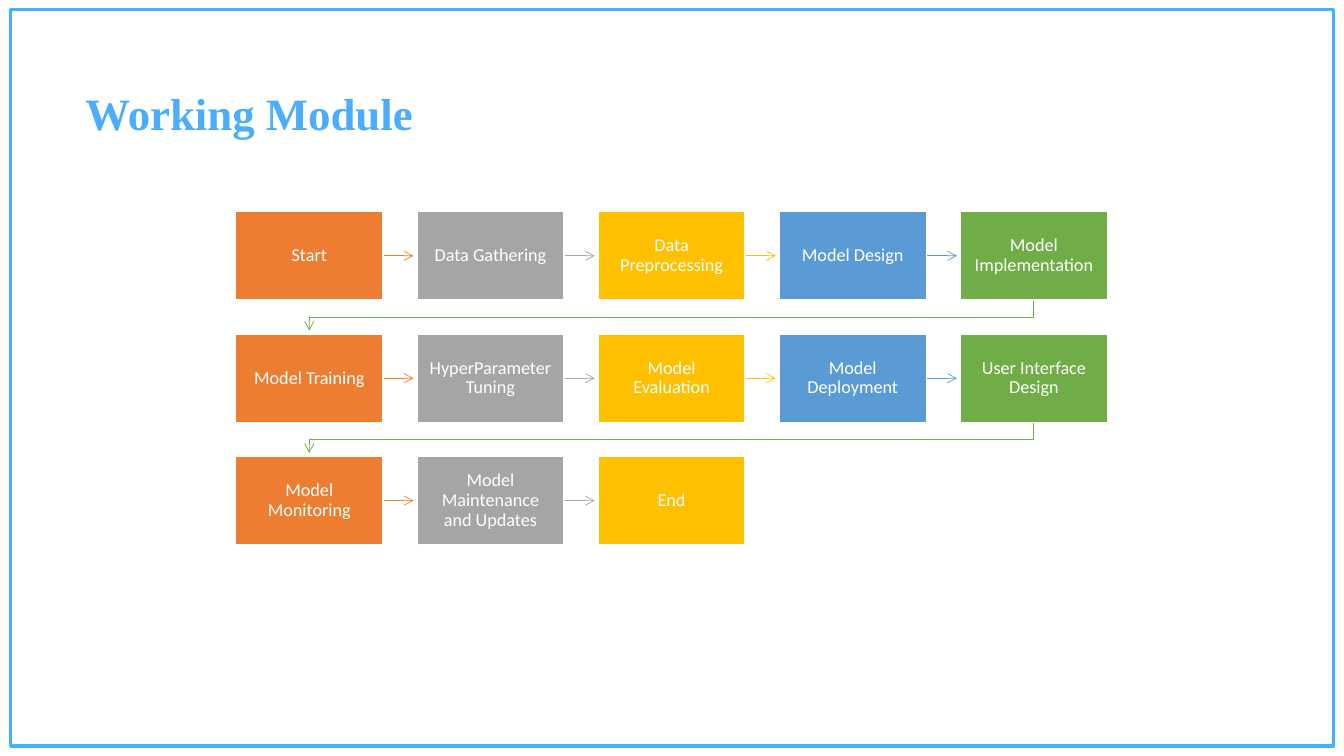
from lxml import etree
from pptx import Presentation
from pptx.dml.color import RGBColor
from pptx.enum.shapes import MSO_CONNECTOR, MSO_SHAPE
from pptx.enum.text import MSO_ANCHOR, MSO_AUTO_SIZE, PP_ALIGN
from pptx.oxml.ns import qn
from pptx.util import Cm, Pt

RECT, STRAIGHT = MSO_SHAPE.RECTANGLE, MSO_CONNECTOR.STRAIGHT
LEFT, CENTER = PP_ALIGN.LEFT, PP_ALIGN.CENTER
MIDDLE, BOTTOM = MSO_ANCHOR.MIDDLE, MSO_ANCHOR.BOTTOM

COLORS = ["ED7D31", "A5A5A5", "FFC000", "5B9BD5", "70AD47"]
STEPS = [
    "Start", "Data Gathering", "Data Preprocessing", "Model Design",
    "Model Implementation", "Model Training", "HyperParameter Tuning",
    "Model Evaluation", "Model Deployment", "User Interface Design",
    "Model Monitoring", "Model Maintenance and Updates", "End",
]


def write(sp, text, size, color, font="Calibri", bold=False, align=CENTER, anchor=MIDDLE):
    tf = sp.text_frame
    tf.word_wrap = True
    tf.auto_size = MSO_AUTO_SIZE.NONE
    tf.vertical_anchor = anchor
    p = tf.paragraphs[0]
    p.alignment = align
    p.line_spacing = 0.9
    p.space_before = Pt(0)
    r = p.add_run()
    r.text = text
    r.font.size, r.font.bold, r.font.name = Pt(size), bold, font
    r.font.color.rgb = RGBColor.from_string(color)


def outline(sp, color, width, arrow=False):
    sp.line.color.rgb = RGBColor.from_string(color)
    sp.line.width = Pt(width)
    if arrow:
        etree.SubElement(sp.line._get_or_add_ln(), qn("a:tailEnd"), type="arrow")


prs = Presentation()
prs.slide_width, prs.slide_height = Cm(33.87), Cm(19.05)
s = prs.slides.add_slide(prs.slide_layouts[5])

# Frame
frame = s.shapes.add_shape(RECT, Cm(0.27), Cm(0.24), Cm(33.33), Cm(18.56))
frame.shadow.inherit = False
frame.fill.background()
outline(frame, "46B0F9", 2.25)

# Title
title = s.shapes.title
title.left, title.top, title.width, title.height = Cm(1.9), Cm(1.88), Cm(25.4), Cm(1.78)
write(title, "Working Module", 32, "4AAEFC", font="Times New Roman", bold=True,
      align=LEFT, anchor=BOTTOM)

# Process steps, five to a row, each with an arrow to the next
X0, Y0, W, H = 5.94, 5.33, 3.71, 2.23
DX, DY = 4.565, 3.085
GAP = 0.77
for i, step in enumerate(STEPS):
    row, col = divmod(i, len(COLORS))
    x, y, color = X0 + col * DX, Y0 + row * DY, COLORS[col]

    if i < len(STEPS) - 1:
        if col < len(COLORS) - 1:
            mid = Cm(y + H / 2)
            arrow = s.shapes.add_connector(STRAIGHT, Cm(x + W), mid, Cm(x + W + GAP), mid)
            etree.SubElement(arrow._element.spPr, qn("a:effectLst"))
        else:
            start, end, bottom = Cm(x + W / 2), Cm(X0 + W / 2), y + H
            turn = Cm(bottom + (DY - H) / 2)
            path = s.shapes.build_freeform(start, Cm(bottom))
            path.add_line_segments([(start, turn), (end, turn), (end, Cm(bottom + GAP))],
                                   close=False)
            arrow = path.convert_to_shape()
            arrow.shadow.inherit = False
            arrow.fill.background()
        outline(arrow, color, 0.5, arrow=True)

    box = s.shapes.add_shape(RECT, Cm(x), Cm(y), Cm(W), Cm(H))
    box.shadow.inherit = False
    box.fill.solid()
    box.fill.fore_color.rgb = RGBColor.from_string(color)
    outline(box, "FFFFFF", 1)
    write(box, step, 13, "FFFFFF")

prs.save("out.pptx")
